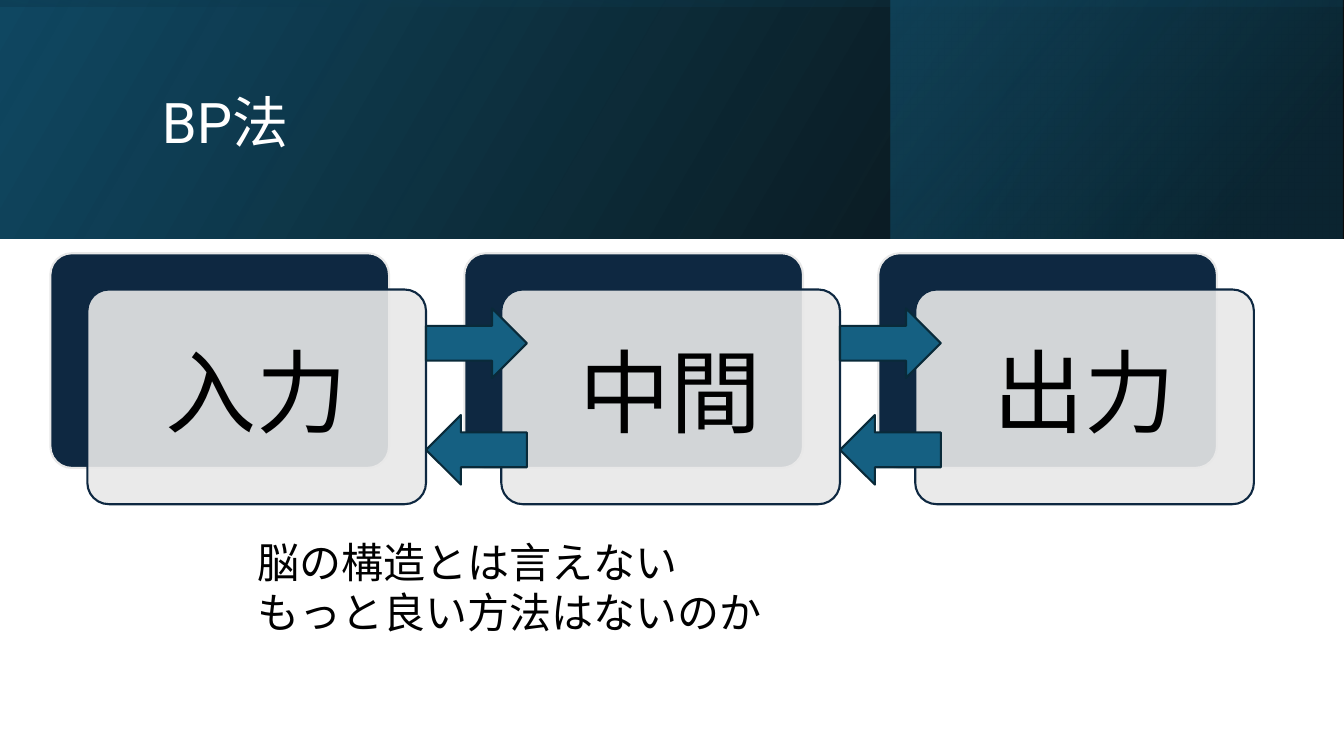
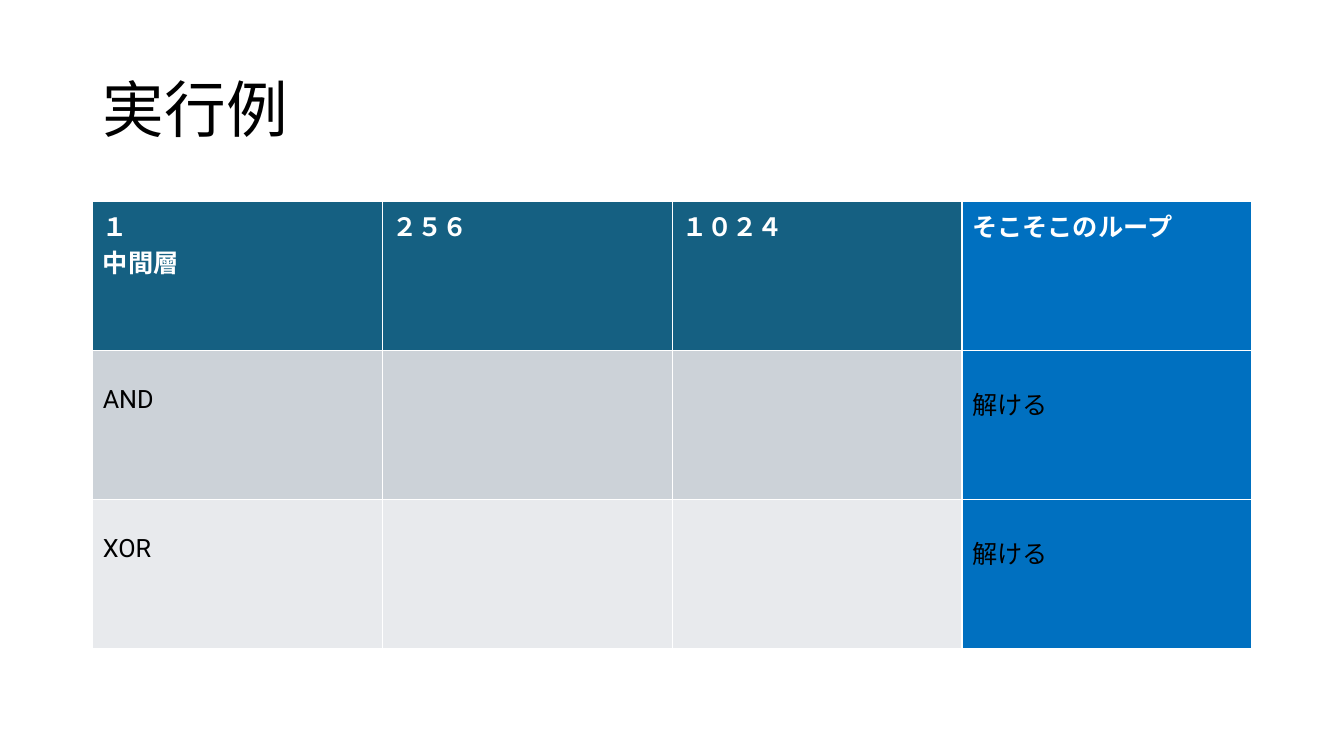
import pptx
import pptx.util
import pptx.dml.color
import pptx.enum.shapes
import pptx.enum.text
import pptx.oxml
import pptx.oxml.ns

Pt = pptx.util.Pt
Kind = pptx.enum.shapes.MSO_SHAPE
Align = pptx.enum.text.PP_ALIGN
Anchor = pptx.enum.text.MSO_ANCHOR
rgb = pptx.dml.color.RGBColor.from_string

FONT = "Roboto"
HEX = {
    "white": "FFFFFF", "black": "000000", "navy": "0E2841", "pale": "E8E8E8",
    "teal": "156082", "edge": "092A39", "deep": "104862", "dusk": "0B3041",
    "blue": "0070C0", "gray": "CCD2D8", "mist": "E8EAED",
}

deck = pptx.Presentation()
deck.slide_width = pptx.util.Inches(13.33)
deck.slide_height = pptx.util.Inches(7.5)

# Grid: 100 columns by 100 rows
COL = deck.slide_width / 100
ROW = deck.slide_height / 100


def write(frame, text, size=18, color="black", bold=False, align=Align.LEFT,
          anchor=Anchor.TOP, lead=None):
    frame.word_wrap = True
    frame.vertical_anchor = anchor
    for i, line in enumerate(text.split("\n")):
        para = frame.paragraphs[0] if i == 0 else frame.add_paragraph()
        para.alignment = align
        para.line_spacing = lead
        run = para.add_run()
        run.text = line
        run.font.name = FONT
        run.font.size = Pt(size)
        run.font.bold = bold
        run.font.color.rgb = rgb(HEX[color])


def draw(slide, kind, x, y, w, h, fill=None, line=None):
    shape = slide.shapes.add_shape(
        kind, int(x * COL), int(y * ROW), int(w * COL), int(h * ROW))
    shape.shadow.inherit = False
    if fill:
        shape.fill.solid()
        shape.fill.fore_color.rgb = rgb(HEX[fill])
    else:
        shape.fill.background()
    if line:
        shape.line.color.rgb = rgb(HEX[line])
        shape.line.width = Pt(1.5)
    else:
        shape.line.fill.background()
    return shape


# Slides and their titles
pages = []
for text, size, color, x, y, w, h in [
    ("BP法", 40, "white", 11.3, 5.1, 79.75, 22.9),
    ("実行例", 44, "black", 6.9, 5.3, 86.25, 19.3),
]:
    page = deck.slides.add_slide(deck.slide_layouts[5])
    title = page.shapes.title
    title.left, title.top = int(x * COL), int(y * ROW)
    title.width, title.height = int(w * COL), int(h * ROW)
    write(title.text_frame, text, size=size, color=color,
          anchor=Anchor.MIDDLE, lead=0.9)
    pages.append(page)
flow, result = pages

# Header bands: gradient stops are position, colour, opacity in percent
BAND = 31.6
thick = BAND * ROW / COL
long = 100 * COL / ROW
bands = [
    (0, 0, 100, BAND, 0, 330, [(0, "black", 96), (100, "deep", 100)]),
    (66.3, 0, 33.6, BAND, 0, 320, [(19, "dusk", 68), (100, "teal", 48)]),
    ((100 - thick) / 2, (BAND - long) / 2, thick, long, 270, 350,
     [(23, "deep", 16), (99, "black", 45)]),
]
for x, y, w, h, turn, angle, stops in bands:
    band = draw(flow, Kind.RECTANGLE, x, y, w, h)
    band.rotation = turn
    props = band._element.spPr
    props.xfrm.set("flipH", "1")
    marks = "".join(
        f'<a:gs pos="{pos * 1000}"><a:srgbClr val="{HEX[tone]}">'
        f'<a:alpha val="{alpha * 1000}"/></a:srgbClr></a:gs>'
        for pos, tone, alpha in stops)
    grad = pptx.oxml.parse_xml(
        f'<a:gradFill {pptx.oxml.ns.nsdecls("a")} rotWithShape="1">'
        f'<a:gsLst>{marks}</a:gsLst>'
        f'<a:lin ang="{angle * 60000}" scaled="0"/></a:gradFill>')
    props.replace(props.find(pptx.oxml.ns.qn("a:noFill")), grad)

# Title goes in front of the bands
flow.shapes._spTree.append(flow.shapes.title._element)

# Layer cards
LEFT, TOP, STEP = 3.75, 33.5, 30.8
WIDE, HIGH = 25.2, 28.4
DX, DY = 2.75, 4.8
for i, name in enumerate(["入力", "中間", "出力"]):
    x = LEFT + i * STEP
    back = draw(flow, Kind.ROUNDED_RECTANGLE, x, TOP, WIDE, HIGH,
                fill="navy", line="pale")
    front = draw(flow, Kind.ROUNDED_RECTANGLE, x + DX, TOP + DY, WIDE, HIGH,
                 fill="pale", line="navy")
    for card in (back, front):
        card.adjustments[0] = 0.1
    tint = front._element.spPr.find(
        pptx.oxml.ns.qn("a:solidFill")).find(pptx.oxml.ns.qn("a:srgbClr"))
    tint.append(pptx.oxml.parse_xml(
        f'<a:alpha {pptx.oxml.ns.nsdecls("a")} val="90000"/>'))
    write(front.text_frame, name, size=65, align=Align.CENTER,
          anchor=Anchor.MIDDLE, lead=0.9)

# Arrows forward and back between the cards
for i in range(2):
    for y, turn in [(40.8, 0), (54.9, 180)]:
        arrow = draw(flow, Kind.RIGHT_ARROW, LEFT + DX + WIDE + i * STEP, y,
                     7.5, 9.2, fill="teal", line="edge")
        arrow.rotation = turn

# Remark
note = flow.shapes.add_textbox(int(18.4 * COL), int(70.3 * ROW),
                               int(60.45 * COL), int(14.8 * ROW))
write(note.text_frame, "脳の構造とは言えない\nもっと良い方法はないのか", size=30)

# Table of results
data = [
    ["１\n中間層", "２５６", "１０２４", "そこそこのループ"],
    ["AND", "", "", "解ける"],
    ["XOR", "", "", "解ける"],
]
fills = ["teal", "gray", "mist"]
table = result.shapes.add_table(
    len(data), len(data[0]), int(6.9 * COL), int(26.7 * ROW),
    int(86.25 * COL), int(59.1 * ROW)).table
for r, row in enumerate(data):
    head = r == 0
    for c, text in enumerate(row):
        cell = table.cell(r, c)
        cell.fill.solid()
        cell.fill.fore_color.rgb = rgb(HEX["blue" if c == 3 else fills[r]])
        if not head:
            cell.margin_top = pptx.util.Inches(0.34)
        if text:
            write(cell.text_frame, text, bold=head,
                  color="white" if head else "black")

deck.save("out.pptx")
